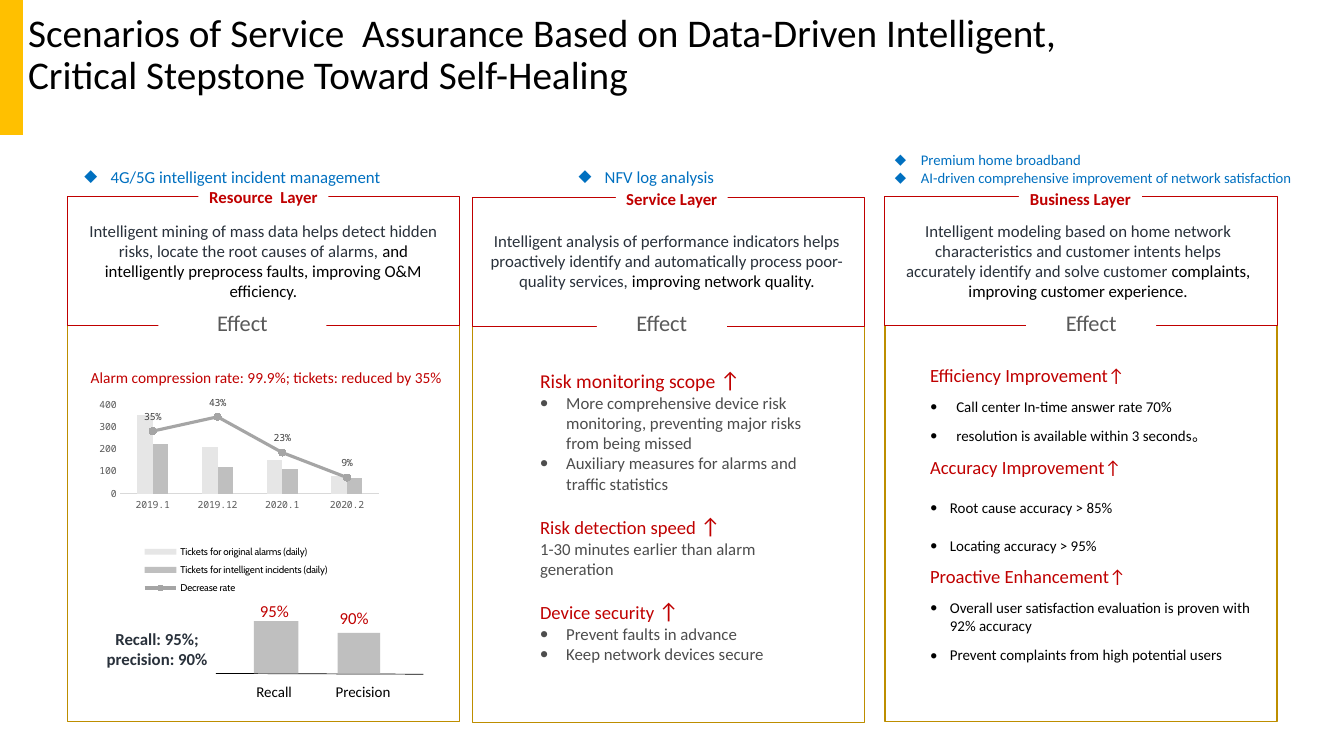
import pptx
import pptx.chart.data
import pptx.dml.color
import pptx.enum.chart
import pptx.enum.shapes
import pptx.enum.text
import pptx.oxml
import pptx.oxml.ns
import pptx.util

Cm, Pt, RGB = pptx.util.Cm, pptx.util.Pt, pptx.dml.color.RGBColor
ALIGN, ANCHOR, CHART = pptx.enum.text.PP_ALIGN, pptx.enum.text.MSO_ANCHOR, pptx.enum.chart
BLACK, WHITE, RED, BLUE = RGB(0, 0, 0), RGB(255, 255, 255), RGB(192, 0, 0), RGB(0, 112, 192)
NAVY, GOLD, YELLOW = RGB(0x29, 0x31, 0x3B), RGB(0xBD, 0x8E, 0), RGB(0xFF, 0xC0, 0)
GREY, TEXT_GREY, LABEL_GREY = RGB(0x59, 0x59, 0x59), RGB(0x4D, 0x4D, 0x4D), RGB(0x40, 0x40, 0x40)
PALE, SILVER = RGB(0xE6, 0xE6, 0xE6), RGB(0xBF, 0xBF, 0xBF)
MID_GREY, AXIS_GREY = RGB(0xA5, 0xA5, 0xA5), RGB(0xD9, 0xD9, 0xD9)
BODY_FONT, CHART_FONT, LEGEND_FONT = "Calibri", "Noto Sans Mono", "Cabin"

# Content: boxes are left, top, width, height in centimetres
TITLE = ("Scenarios of Service  Assurance Based on Data-Driven Intelligent,\n"
         "Critical Stepstone Toward Self-Healing")
COLUMN_WIDTH, INTRO_HEIGHT, PANEL_HEIGHT = 9.88, 3.25, 9.98
# Left, top, name, name box, effect left and width, intro margins, dark intro, black intro
LAYERS = [
    (1.7, 4.95, "Resource  Layer", (5, 4.57, 3.28, 0.76), (3.99, 4.24), (0.33, 0.18, 0.33, 0.18),
     "Intelligent mining of mass data helps detect hidden risks, locate the root causes of alarms, ",
     "and intelligently preprocess faults, improving O&M efficiency."),
    (11.91, 4.98, "Service Layer", (15.52, 4.62, 2.82, 0.76), (15.04, 3.28), (0.33, 0.13, 0.41, 0.18),
     "Intelligent analysis of performance indicators helps proactively identify "
     "and automatically process poor-quality services, ", "improving network quality."),
    (22.3, 4.95, "Business Layer", (25.68, 4.62, 3.1, 0.76), (25.86, 3.28), (0.53, 0.18, 0.66, 0.18),
     "Intelligent modeling based on home network characteristics and customer intents helps "
     "accurately identify and solve customer ", "complaints, improving customer experience."),
]
# Box, text size, lines
SCENES = [
    ((1.88, 4.06, 8.64, 0.76), 12, ["4G/5G intelligent incident management"]),
    ((14.33, 4.06, 6.22, 0.76), 12, ["NFV log analysis"]),
    ((22.3, 3.68, 11.66, 1.14), 10.5,
     ["Premium home broadband", "AI-driven comprehensive improvement of network satisfaction"]),
]
# Heading, heading size, bullet, lines
SERVICE_EFFECTS = [
    ("Risk monitoring scope ", 14, "●",
     ["More comprehensive device risk monitoring, preventing major risks from being missed",
      "Auxiliary measures for alarms and traffic statistics"]),
    ("Risk detection speed ", 13.3, None, ["1-30 minutes earlier than alarm generation"]),
    ("Device security ", 13.3, "●", ["Prevent faults in advance", "Keep network devices secure"]),
]
# Heading, bullet indent, line spacing, lines
BUSINESS_EFFECTS = [
    ("Efficiency Improvement↑", 0.66, 1,
     ["Call center In-time answer rate 70%", "resolution is available within 3 seconds。"]),
    ("Accuracy Improvement↑", 0.5, 1.5, ["Root cause accuracy > 85%", "Locating accuracy > 95%"]),
    ("Proactive Enhancement↑", 0.5, 1,
     ["Overall user satisfaction evaluation is proven with 92% accuracy",
      "Prevent complaints from high potential users"]),
]
MONTHS = ["2019.1", "2019.12", "2020.1", "2020.2"]
TICKETS = [("Tickets for original alarms (daily)", (350, 210, 150, 80), PALE),
           ("Tickets for intelligent incidents (daily)", (220, 120, 110, 70), SILVER)]
DECREASE = ("Decrease rate", (0.35, 0.43, 0.23, 0.09))
# Name, name box, bar box, value, value box
RATES = [("Recall", (6.2, 17.07, 1.42, 0.71), (6.4, 15.65, 1.12, 1.32), "95%", (6.55, 15.14, 0.74, 0.51)),
         ("Precision", (8.2, 17.07, 1.9, 0.71), (8.51, 15.95, 1.07, 1.02), "90%", (8.56, 15.32, 0.74, 0.51))]

presentation = pptx.Presentation()
presentation.slide_width, presentation.slide_height = Cm(33.87), Cm(19.05)
slide = presentation.slides.add_slide(presentation.slide_layouts[6])


def element(tag, inner="", attributes=""):
    names = pptx.oxml.ns.nsdecls("a", "c")
    return pptx.oxml.parse_xml(f"<{tag} {names} {attributes}>{inner}</{tag}>")


def add_box(box, fill=None, line=None, width=1):
    shape = slide.shapes.add_shape(pptx.enum.shapes.MSO_SHAPE.RECTANGLE, *map(Cm, box))
    shape.shadow.inherit = False
    shape.fill.background()
    shape.line.fill.background()
    if fill is not None:
        shape.fill.solid()
        shape.fill.fore_color.rgb = fill
    if line is not None:
        shape.line.color.rgb, shape.line.width = line, Pt(width)
    return shape


def frame_of(shape, margins=(0.25, 0.13, 0.25, 0.13), anchor=ANCHOR.TOP, wrap=True):
    frame = shape.text_frame
    frame.word_wrap, frame.vertical_anchor = wrap, anchor
    frame.margin_left, frame.margin_top, frame.margin_right, frame.margin_bottom = map(Cm, margins)
    return frame


def text_box(box, **layout):
    return frame_of(slide.shapes.add_textbox(*map(Cm, box)), **layout)


def add_text(frame, text, size=12, color=BLACK, bold=False, align=ALIGN.LEFT, bullet=None,
             bullet_size=100, indent=0.66, before=0, spacing=None):
    """Add a paragraph; text is a string or a list of (text, colour, size) runs."""
    first = frame.paragraphs[0]
    paragraph = frame.add_paragraph() if first.runs else first
    if bullet:
        properties = paragraph._p.get_or_add_pPr()
        properties.set("marL", str(Cm(indent)))
        properties.set("indent", str(-Cm(indent)))
        properties.append(element("a:buSzPct", attributes=f'val="{bullet_size * 1000}"'))
        properties.append(element("a:buFont", attributes=f'typeface="{BODY_FONT}"'))
        properties.append(element("a:buChar", attributes=f'char="{bullet}"'))
    paragraph.alignment, paragraph.line_spacing = align, spacing
    if before:
        paragraph.space_before = Pt(before)
    for words, run_color, run_size in [(text, color, size)] if isinstance(text, str) else text:
        for number, piece in enumerate(words.split("\n")):
            if number:
                paragraph.add_line_break()
            run = paragraph.add_run()
            run.text = piece
            run.font.name, run.font.bold, run.font.size = BODY_FONT, bold, Pt(run_size)
            run.font.color.rgb = run_color


def style_font(font, color, name=CHART_FONT):
    font.size, font.name, font.color.rgb = Pt(7), name, color


# Title
add_box((-0.03, 0, 0.61, 3.4), YELLOW)
add_text(text_box((0.38, 0.66, 32.92, 1.5), margins=(0.33, 0.18, 0.33, 0.18), anchor=ANCHOR.MIDDLE),
         TITLE, size=28, spacing=0.9)

# Three layer columns
for left, top, name, name_box, (effect_left, effect_width), margins, dark, black in LAYERS:
    add_box((left, top + INTRO_HEIGHT, COLUMN_WIDTH, PANEL_HEIGHT), WHITE, GOLD)
    intro = add_box((left, top, COLUMN_WIDTH, INTRO_HEIGHT), line=RED, width=0.5)
    add_text(frame_of(intro, margins, ANCHOR.MIDDLE), [(dark, NAVY, 12), (black, BLACK, 12)],
             align=ALIGN.CENTER)
    add_text(frame_of(add_box(name_box, WHITE), anchor=ANCHOR.MIDDLE, wrap=False), name,
             color=RED, bold=True, align=ALIGN.CENTER)
    add_text(frame_of(add_box((effect_left, 7.65, effect_width, 0.94), WHITE)), "Effect",
             size=16, color=GREY, align=ALIGN.CENTER)
for box, size, lines in SCENES:
    scenes = text_box(box)
    for line in lines:
        add_text(scenes, line, size=size, color=BLUE, bullet="◆")

# Resource effects: ticket chart
add_text(text_box((1.37, 9.12, 10.69, 0.79), margins=(0.18,) * 4, anchor=ANCHOR.MIDDLE),
         "Alarm compression rate: 99.9%; tickets: reduced by 35%", size=11, color=RED, align=ALIGN.CENTER)
chart_data = pptx.chart.data.CategoryChartData()
chart_data.categories = MONTHS
for name, values, color in TICKETS:
    chart_data.add_series(name, values)
chart_data.add_series(*DECREASE, number_format="0%")
chart = slide.shapes.add_chart(CHART.XL_CHART_TYPE.COLUMN_CLUSTERED, Cm(2.18), Cm(9.75),
                               Cm(7.77), Cm(5.49), chart_data).chart
style_font(chart.font, BLACK)
chart.has_title = False
columns, months, counts = chart.plots[0], chart.category_axis, chart.value_axis
columns.gap_width, columns.overlap, columns.vary_by_categories = 219, 0, False
for series, (name, values, color) in zip(columns.series, TICKETS):
    series.format.fill.solid()
    series.format.fill.fore_color.rgb = color
for axis in (months, counts):
    axis.major_tick_mark = axis.minor_tick_mark = CHART.XL_TICK_MARK.NONE
    axis.has_major_gridlines = False
    style_font(axis.tick_labels.font, GREY)
months.format.line.color.rgb, months.format.line.width = AXIS_GREY, Pt(0.75)
counts.format.line.fill.background()
counts.minimum_scale, counts.maximum_scale, counts.major_unit = 0, 400, 100

# Decrease rate as a line on a second axis
rate_element = columns.series[2]._element
for flag in rate_element.xpath("c:invertIfNegative"):
    rate_element.remove(flag)
line_plot = element("c:lineChart", '<c:grouping val="standard"/><c:varyColors val="0"/>'
                    '<c:marker val="1"/><c:axId val="501"/><c:axId val="502"/>')
line_plot.insert(2, rate_element)
columns._element.addnext(line_plot)
for kind, own, other, limits, hidden, side, cross in (
        ("valAx", 502, 501, '<c:max val="0.5"/><c:min val="0"/>', 0, "r", "max"),
        ("catAx", 501, 502, "", 1, "b", "autoZero")):
    counts._element.addnext(element(
        f"c:{kind}", f'<c:axId val="{own}"/><c:scaling><c:orientation val="minMax"/>{limits}</c:scaling>'
        f'<c:delete val="{hidden}"/><c:axPos val="{side}"/><c:majorTickMark val="out"/>'
        '<c:minorTickMark val="none"/><c:tickLblPos val="none"/><c:spPr><a:ln><a:noFill/></a:ln></c:spPr>'
        f'<c:crossAx val="{other}"/><c:crosses val="{cross}"/>'))
rate = chart.plots[1].series[0]
rate.smooth = False
rate.format.line.color.rgb, rate.format.line.width = MID_GREY, Pt(2.25)
rate.marker.style, rate.marker.size = CHART.XL_MARKER_STYLE.CIRCLE, 5
rate.marker.format.fill.solid()
rate.marker.format.fill.fore_color.rgb = rate.marker.format.line.color.rgb = MID_GREY
labels = rate.data_labels
labels.show_value, labels.position = True, CHART.XL_LABEL_POSITION.ABOVE
labels.number_format, labels.number_format_is_linked = "0%", False
style_font(labels.font, LABEL_GREY)

# Plot and legend places, as shares of the chart
chart.has_legend = True
chart.legend.position, chart.legend.include_in_layout = CHART.XL_LEGEND_POSITION.BOTTOM, True
style_font(chart.legend.font, BLACK, LEGEND_FONT)
for parent, index, target, place in (
        (columns._element.getparent(), 0, '<c:layoutTarget val="inner"/>', (0.11, 0.08, 0.84, 0.41)),
        (chart.legend._element, 1, "", (0.17, 0.7, 0.63, 0.28))):
    for old_layout in parent.xpath("c:layout"):
        parent.remove(old_layout)
    sizes = "".join(f'<c:{key} val="{share}"/>' for key, share in zip("xywh", place))
    parent.insert(index, element("c:layout", f'<c:manualLayout>{target}<c:xMode val="edge"/>'
                                 f'<c:yMode val="edge"/>{sizes}</c:manualLayout>'))

# Resource effects: recall and precision
summary = text_box((2.08, 15.95, 3.76, 0.79), margins=(0.18,) * 4, anchor=ANCHOR.MIDDLE)
for line in ("Recall: 95%;", "precision: 90%"):
    add_text(summary, line, color=NAVY, bold=True, align=ALIGN.CENTER)
baseline = slide.shapes.add_connector(pptx.enum.shapes.MSO_CONNECTOR.STRAIGHT,
                                      Cm(5.44), Cm(16.97), Cm(10.67), Cm(16.99))
baseline.line.color.rgb, baseline.line.width = BLACK, Pt(0.5)
baseline._element.spPr.append(element("a:effectLst"))
for name, name_box, bar_box, value, value_box in RATES:
    add_box(bar_box, SILVER)
    add_text(text_box(name_box, wrap=False), name, size=10.7, align=ALIGN.CENTER)
    add_text(text_box(value_box, margins=(0,) * 4, wrap=False), value, color=RED)

# Service and business effects
service = text_box((13.36, 9.09, 7.77, 7.85))
for number, (heading, size, bullet, lines) in enumerate(SERVICE_EFFECTS):
    add_text(service, [(heading, RED, size), ("↑", RED, 16)], before=13 if number else 0)
    for line in lines:
        add_text(service, line, color=TEXT_GREY, bullet=bullet, bullet_size=80)
business = text_box((23.44, 8.76, 8.36, 8.94), margins=(0, 0.13, 0, 0.13))
for heading, indent, spacing, lines in BUSINESS_EFFECTS:
    add_text(business, heading, size=13.3, color=RED, spacing=1.5)
    for line in lines:
        add_text(business, line, size=10.7, bullet="•", indent=indent, before=8, spacing=spacing)
presentation.save("out.pptx")
